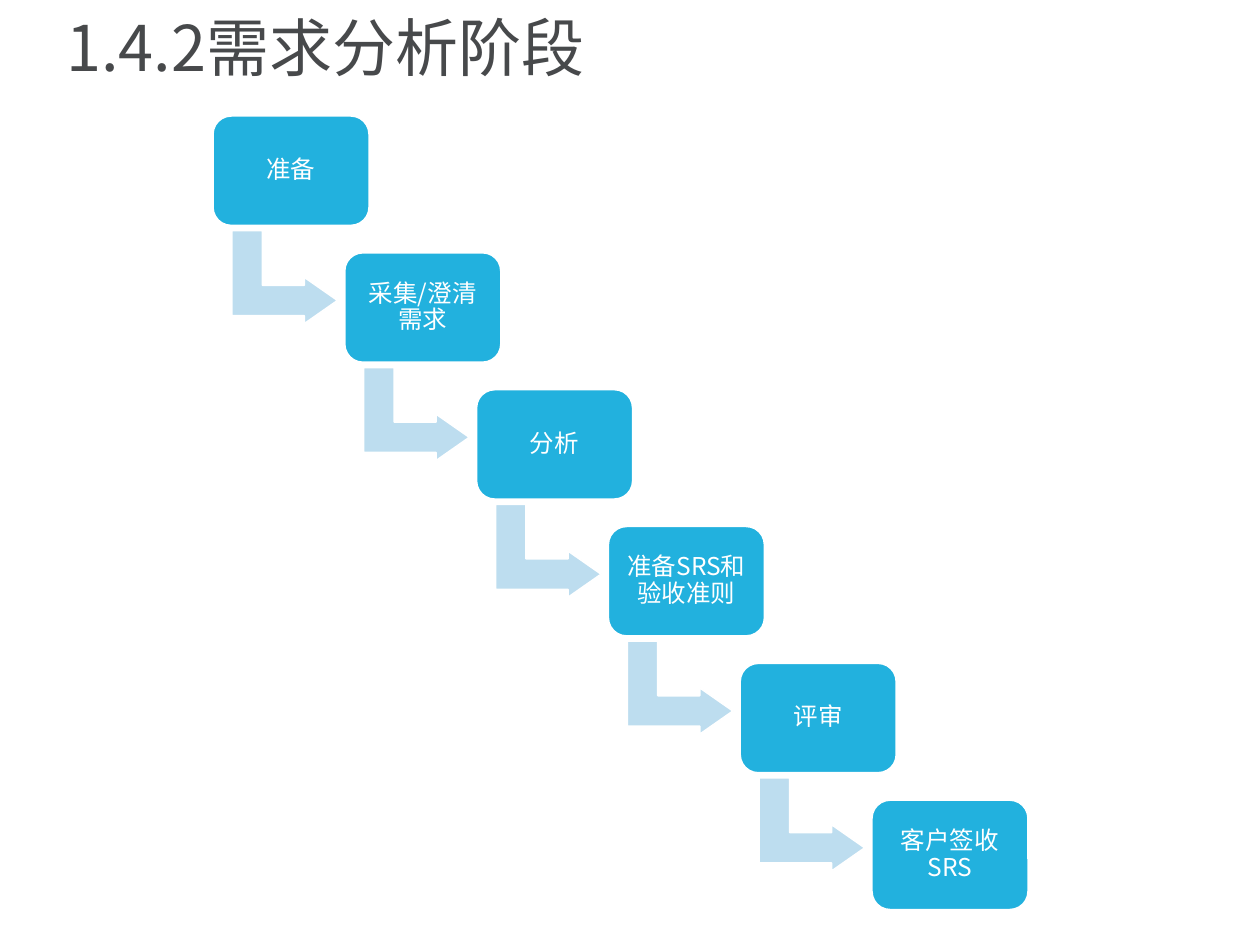
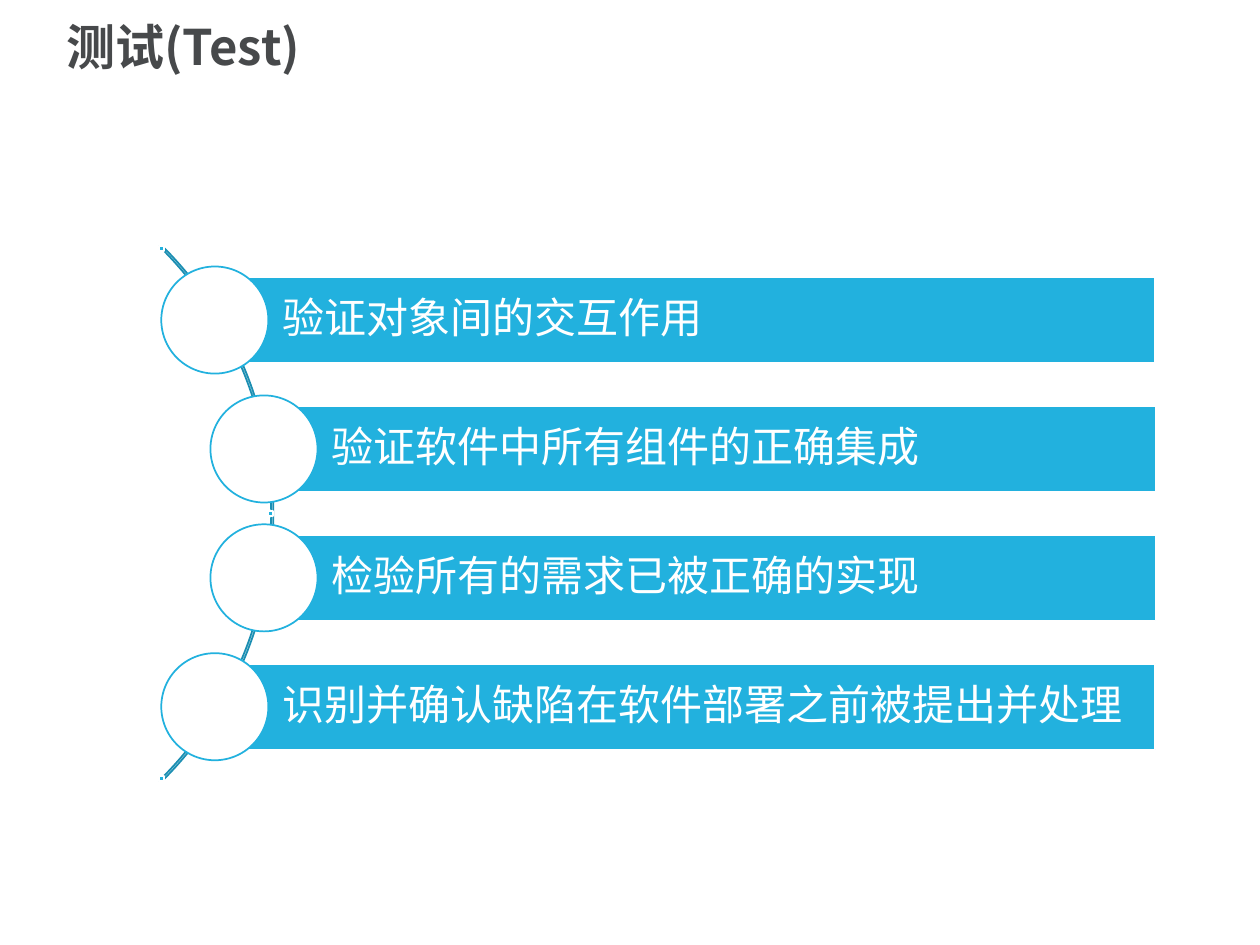
from lxml.etree import SubElement
from pptx import Presentation
from pptx.dml.color import RGBColor
from pptx.enum.shapes import MSO_SHAPE
from pptx.enum.text import MSO_ANCHOR, PP_ALIGN
from pptx.oxml.ns import qn
from pptx.util import Inches, Pt

COLORS = {
    "ink": "47494B",
    "blue": "22B1DE",
    "pale": "BDDDEF",
    "deep": "1B8EB2",
    "white": "FFFFFF",
}
HAN = "Noto Sans CJK SC"
LATIN = "Calibri"
COLS, ROWS = 100, 75
STEPS = ["准备", "采集/澄清需求", "分析", "准备SRS和验收准则", "评审", "客户签收SRS"]
GOALS = [
    "验证对象间的交互作用",
    "验证软件中所有组件的正确集成",
    "检验所有的需求已被正确的实现",
    "识别并确认缺陷在软件部署之前被提出并处理",
]


class Deck:
    def __init__(self):
        self.file = Presentation()
        self.file.slide_width = Inches(10)
        self.file.slide_height = Inches(7.5)
        self.col = self.file.slide_width / COLS
        self.row = self.file.slide_height / ROWS
        self.slide = None

    def place(self, left, top, width, height):
        return [
            round(size * unit)
            for size, unit in zip(
                (left, top, width, height), (self.col, self.row) * 2
            )
        ]

    def color(self, name):
        return RGBColor.from_string(COLORS[name])

    def page(self, title, size, bold=False, line=0.9, before=0, after=0):
        self.slide = self.file.slides.add_slide(self.file.slide_layouts[6])
        box = self.slide.shapes.add_textbox(*self.place(4.3, 0.6, 90.5, 7))
        par = self.label(box, title, size, "ink", bold=bold, line=line)
        par.space_before, par.space_after = Pt(before), Pt(after)

    def label(self, shape, text, size, color="white", face=HAN, bold=False,
              line=0.9, align=PP_ALIGN.LEFT, pads=(1, 0.5, 1, 0.5)):
        frame = shape.text_frame
        frame.word_wrap = True
        frame.vertical_anchor = MSO_ANCHOR.MIDDLE
        left, top, right, low = self.place(*pads)
        frame.margin_left, frame.margin_top = left, top
        frame.margin_right, frame.margin_bottom = right, low
        par = frame.paragraphs[0]
        par.text = text
        par.alignment = align
        par.line_spacing = line
        font = par.font
        font.name, font.size, font.bold = face, Pt(size), bold
        font.color.rgb = self.color(color)
        mark = par.runs[0].font
        SubElement(mark._element, qn("a:ea")).set("typeface", HAN)
        return par

    def shape(self, kind, at, fill="blue", line="white", adjust=(), turn=0):
        item = self.slide.shapes.add_shape(kind, *self.place(*at))
        item.shadow.inherit = False
        item.rotation = turn
        for index, value in enumerate(adjust):
            item.adjustments[index] = value
        if fill:
            item.fill.solid()
            item.fill.fore_color.rgb = self.color(fill)
        else:
            item.fill.background()
        item.line.color.rgb = self.color(line)
        item.line.width = Pt(1)
        return item

    def step(self, text, left, top):
        box = self.shape(MSO_SHAPE.ROUNDED_RECTANGLE, (left, top, 12.4, 8.7),
                         adjust=[0.167])
        self.label(box, text, 14, align=PP_ALIGN.CENTER, pads=[0.6] * 4)

    def arrow(self, left, top):
        self.shape(MSO_SHAPE.BENT_UP_ARROW, (left, top, 7.4, 8.4), "pale",
                   adjust=(0.328, 0.25, 0.358), turn=90)

    def goal(self, text, left, top):
        bar = self.shape(MSO_SHAPE.RECTANGLE, (left, top, 91.7 - left, 6.8))
        self.label(bar, text, 24, face=LATIN, pads=(5.4, 0.7, 0.7, 0.7))
        self.shape(MSO_SHAPE.OVAL, (left - 4.2, top - 0.85, 8.5, 8.5),
                   "white", "blue")

    def arc(self, left, top, size):
        self.shape(MSO_SHAPE.BLOCK_ARC, (left, top, size, size), None, "deep",
                   (189, 27, 0.003))

    def dot(self, left, top):
        self.shape(MSO_SHAPE.RECTANGLE, (left, top, 0.4, 0.4))


def main():
    deck = Deck()

    deck.page("1.4.2需求分析阶段", 36)
    for index, text in enumerate(STEPS):
        left, top = 16.9 + 10.46 * index, 9.2 + 10.86 * index
        if index < len(STEPS) - 1:
            deck.arrow(left + 2, top + 8.6)
        deck.step(text, left, top)

    deck.page("测试(Test)", 28, True, 0.8, 14, 14.5)
    deck.arc(-38.2, 10.8, 59.9)
    for index, text in enumerate(GOALS):
        inner = index in (1, 2)
        deck.goal(text, 20.9 if inner else 17, 22 + 10.23 * index)
    for index, left in enumerate((12.6, 21.3, 12.6)):
        deck.dot(left, 19.5 + 21.05 * index)

    deck.file.save("out.pptx")


if __name__ == "__main__":
    main()
